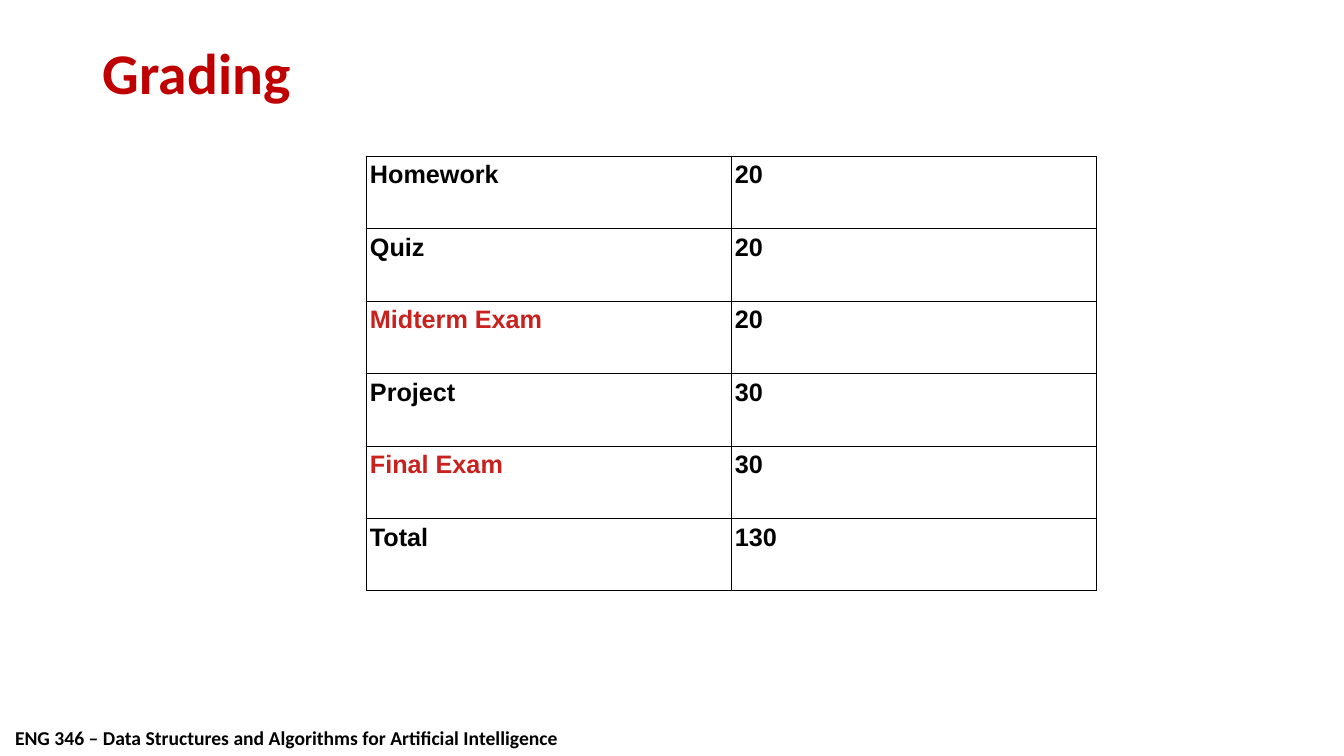
from dataclasses import dataclass

import pptx
import pptx.dml.color
import pptx.enum.text
import pptx.oxml
import pptx.oxml.ns
import pptx.util

PX = 914400 / 100.8
TITLE_ONLY_LAYOUT = 5


def px(length):
    return pptx.util.Emu(round(length * PX))


@dataclass(frozen=True)
class Theme:
    ink: str = "000000"
    title_color: str = "C00000"
    exam_color: str = "C9211E"
    heading_font: str = "Calibri"
    table_font: str = "Arial"
    title_size: float = 41.1
    table_size: float = 18
    footer_size: float = 14
    border_width: float = 0.57


def write_text(frame, text, *, font, size, color, insets=(10, 5),
               anchor=pptx.enum.text.MSO_ANCHOR.TOP, wrap=True, line_spacing=1.0):
    frame.margin_left = frame.margin_right = px(insets[0])
    frame.margin_top = frame.margin_bottom = px(insets[1])
    frame.vertical_anchor = anchor
    frame.word_wrap = wrap
    paragraph = frame.paragraphs[0]
    paragraph.alignment = pptx.enum.text.PP_ALIGN.LEFT
    paragraph.line_spacing = line_spacing
    run = paragraph.add_run()
    run.text = text
    run.font.name = font
    run.font.size = pptx.util.Pt(size)
    run.font.bold = True
    run.font.color.rgb = pptx.dml.color.RGBColor.from_string(color)


class SlideBuilder:
    def __init__(self, presentation, theme):
        self.theme = theme
        self.slide = presentation.slides.add_slide(
            presentation.slide_layouts[TITLE_ONLY_LAYOUT])

    def title(self, text, left, top, width, height):
        shape = self.slide.shapes.title
        shape.left, shape.top = px(left), px(top)
        shape.width, shape.height = px(width), px(height)
        shape.text_frame.auto_size = pptx.enum.text.MSO_AUTO_SIZE.NONE
        write_text(shape.text_frame, text, font=self.theme.heading_font,
                   size=self.theme.title_size, color=self.theme.title_color,
                   anchor=pptx.enum.text.MSO_ANCHOR.MIDDLE, line_spacing=0.9)

    def footer(self, text, left, top, width, height):
        shape = self.slide.shapes.add_textbox(px(left), px(top), px(width), px(height))
        write_text(shape.text_frame, text, font=self.theme.heading_font,
                   size=self.theme.footer_size, color=self.theme.ink, wrap=False)

    def table(self, rows, highlighted, left, top, width, height):
        shape = self.slide.shapes.add_table(
            len(rows), len(rows[0]), px(left), px(top), px(width), px(height))
        table = shape.table
        table.first_row = False
        table.horz_banding = False
        for row_index, row in enumerate(rows):
            for column_index, text in enumerate(row):
                cell = table.cell(row_index, column_index)
                color = self.theme.exam_color if text in highlighted else self.theme.ink
                self.table_cell(cell, text, color)

    def table_cell(self, cell, text, color):
        write_text(cell.text_frame, text, font=self.theme.table_font,
                   size=self.theme.table_size, color=color)
        cell.margin_left = cell.margin_right = px(4)
        cell.margin_top = cell.margin_bottom = px(5)
        cell.vertical_anchor = pptx.enum.text.MSO_ANCHOR.TOP
        self.cell_borders(cell)
        cell.fill.background()

    def cell_borders(self, cell):
        properties = cell._tc.get_or_add_tcPr()
        namespace = pptx.oxml.ns.nsdecls("a")
        width = pptx.util.Pt(self.theme.border_width)
        for side in ("lnL", "lnR", "lnT", "lnB"):
            properties.append(pptx.oxml.parse_xml(
                f'<a:{side} {namespace} w="{width}"><a:solidFill>'
                f'<a:srgbClr val="{self.theme.ink}"/></a:solidFill></a:{side}>'))


def main():
    presentation = pptx.Presentation()
    presentation.slide_width = px(1344)
    presentation.slide_height = px(756)
    builder = SlideBuilder(presentation, Theme())
    builder.footer("ENG 346 – Data Structures and Algorithms for Artificial Intelligence",
                   5, 721, 568, 33)
    builder.title("Grading", 93, 40, 1158, 71)
    grading = [
        ("Homework", "20"),
        ("Quiz", "20"),
        ("Midterm Exam", "20"),
        ("Project", "30"),
        ("Final Exam", "30"),
        ("Total", "130"),
    ]
    builder.table(grading, {"Midterm Exam", "Final Exam"}, 366, 156, 730, 435)
    presentation.save("out.pptx")


if __name__ == "__main__":
    main()
